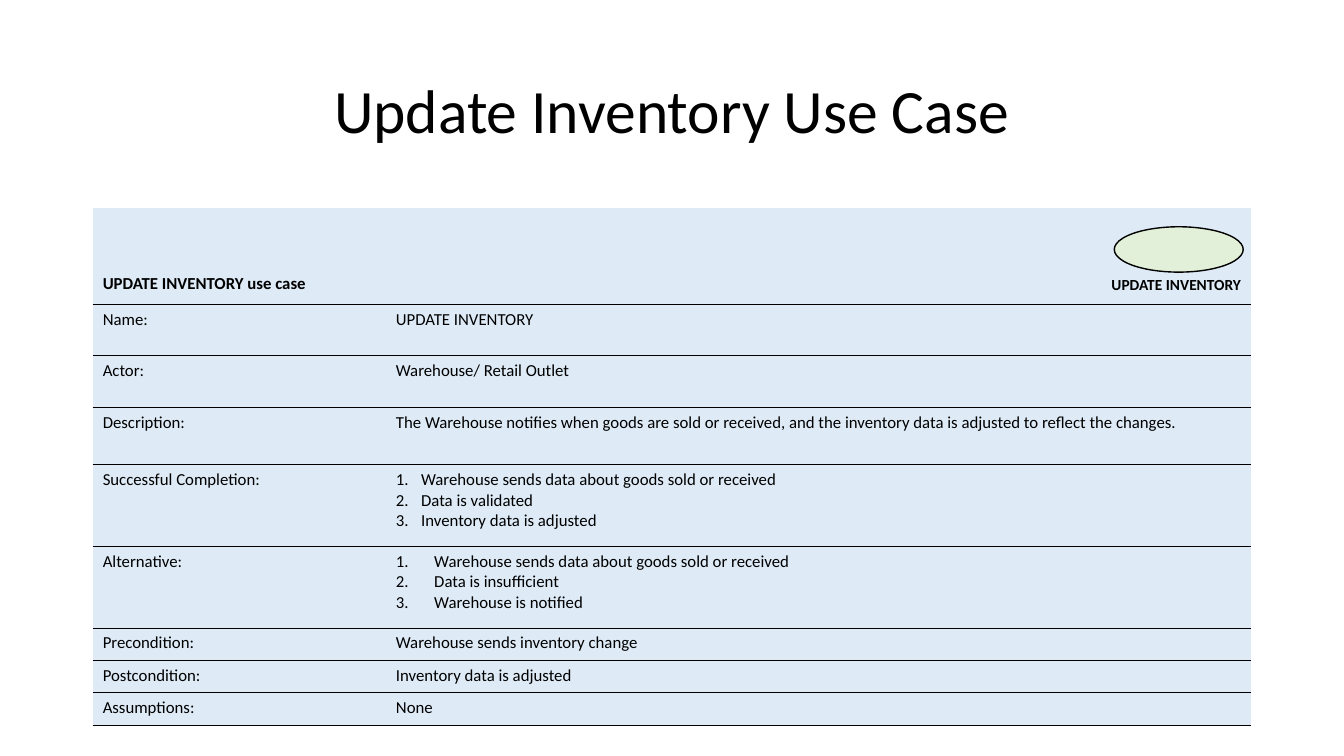
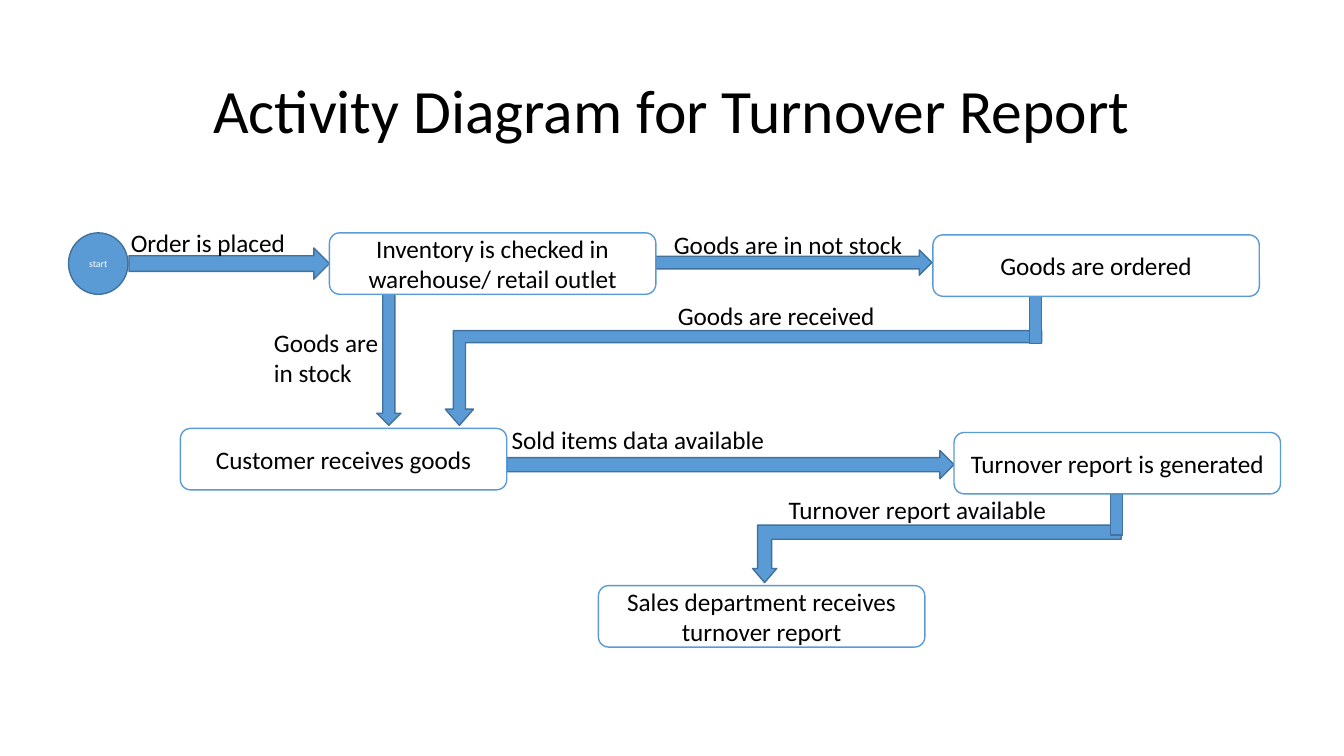
from lxml.etree import SubElement
from pptx import Presentation
from pptx.dml.color import RGBColor
from pptx.enum.shapes import MSO_SHAPE as Kind
from pptx.enum.text import MSO_ANCHOR as Anchor, PP_ALIGN as Align
from pptx.oxml import parse_xml
from pptx.oxml.ns import nsdecls, qn
from pptx.util import Inches, Pt

UNIT = Inches(0.1)  # side of one grid square
WIDE, HIGH = 133.4, 75
TITLE = (9.2, 4, 115, 14.5)
CASE = (9.2, 20.6, 115, 51.4)
FLOW = (6.8, 23.1, 120.3, 41.1)

BLACK, WHITE = "000000", "FFFFFF"
BLUE, NAVY, PALE, MINT = "5B9BD5", "41719C", "DEEBF7", "E2F0D9"
BODY = {"name": "Calibri", "size": Pt(18), "bold": False}
HEAD = BODY | {"size": Pt(44)}
CELL = BODY | {"size": Pt(12)}
TINY = BODY | {"size": Pt(7)}
NO_GRID = "{2D5ABB26-0587-4C30-8999-92F81FD0307C}"

COLS = (29.1, 85.9)
ROWS = (9.6, 5.1, 5.1, 5.7, 8.1, 8.1, 3.2, 3.2, 3.3)
FACTS = [
    ("UPDATE INVENTORY use case", "UPDATE INVENTORY"),
    ("Name:", "UPDATE INVENTORY"),
    ("Actor:", "Warehouse/ Retail Outlet"),
    ("Description:", "The Warehouse notifies when goods are sold or received, "
                     "and the inventory data is adjusted to reflect the changes."),
    ("Successful Completion:", ["Warehouse sends data about goods sold or received",
                                "Data is validated", "Inventory data is adjusted"]),
    ("Alternative:", ["Warehouse sends data about goods sold or received",
                      "Data is insufficient", "Warehouse is notified"]),
    ("Precondition:", "Warehouse sends inventory change"),
    ("Postcondition:", "Inventory data is adjusted"),
    ("Assumptions:", "None"),
]
INDENT = {"Successful Completion:": 2.5, "Alternative:": 3.8}

# Places in the flow are columns and rows counted from its top left corner.
STEP = (32.4, 6.1)
STEPS = [
    ("Inventory is checked in warehouse/ retail outlet", 25.9, 0),
    ("Goods are ordered", 85.8, 0.2),
    ("Customer receives goods", 11.1, 19.4),
    ("Turnover report is generated", 87.9, 19.8),
    ("Sales department receives turnover report", 52.6, 35),
]
ARROWS = [
    (Kind.RIGHT_ARROW, 6, 1.5, 19.9, 3.1),
    (Kind.RIGHT_ARROW, 58.3, 1.7, 27.4, 2.5),
    (Kind.DOWN_ARROW, 30.6, 6.1, 2.4, 13),
    (Kind.RIGHT_ARROW, 43.5, 21.6, 44.4, 2.8),
]
BENDS = [  # box, bar thickness, head width, head length
    ((37.4, 9.7, 59.2, 9.4), 1.2, 2.8, 1.6),
    ((67.9, 29, 36.6, 5.7), 1.4, 2.4, 1.4),
]
STUBS = [(95.4, 4.9, 1.2, 6.1), (103.4, 25.9, 1.2, 4.1)]
LABELS = [
    ("Order is placed", 5.2, -1, 21.5, 4),
    ("Goods are in not stock", 59.1, -0.8, 25.5, 4),
    ("Goods are in stock", 19.4, 8.9, 13.9, 7),
    ("Goods are received", 59.5, 6.2, 25.3, 4),
    ("Sold items data available", 43, 18.5, 42.8, 4),
    ("Turnover report available", 70.5, 25.5, 42.8, 4),
]


def grid(*vals):
    return [round(v * UNIT) for v in vals]


def shift(area, x, y, *size):
    """Turn a place inside an area into slide lengths."""
    return grid(area[0] + x, area[1] + y, *size)


def tint(part, hue):
    part.rgb = RGBColor.from_string(hue)


def style(font, form, hue=BLACK):
    for key, val in form.items():
        setattr(font, key, val)
    tint(font.color, hue)


def paint(shape, fill, line):
    shape.shadow.inherit = False
    shape.fill.solid()
    tint(shape.fill.fore_color, fill)
    tint(shape.line.color, line)
    shape.line.width = Pt(1)
    return shape


def draw(slide, kind, box, fill=BLUE, line=NAVY):
    return paint(slide.shapes.add_shape(kind, *box), fill, line)


def write(shape, text, form=BODY, hue=BLACK, align=Align.CENTER, anchor=Anchor.MIDDLE):
    frame = shape.text_frame
    frame.word_wrap = True
    frame.vertical_anchor = anchor
    para = frame.paragraphs[0]
    para.text, para.alignment = text, align
    style(para.font, form, hue)
    return para


def page(deck, title):
    slide = deck.slides.add_slide(deck.slide_layouts[5])
    head = slide.shapes.title
    head.left, head.top, head.width, head.height = grid(*TITLE)
    write(head, title, HEAD).line_spacing = 0.9
    return slide


def number(para, gap):
    props = para._p.get_or_add_pPr()
    step = grid(gap)[0]
    props.set("marL", str(step))
    props.set("indent", str(-step))
    SubElement(props, qn("a:buFont"), typeface="+mj-lt")
    SubElement(props, qn("a:buAutoNum"), type="arabicPeriod")


def rule(cell):
    """Draw a thin line under a cell."""
    cell._tc.get_or_add_tcPr().insert(0, parse_xml(
        f'<a:lnB {nsdecls("a")} w="{Pt(0.45)}"><a:solidFill>'
        f'<a:srgbClr val="{BLACK}"/></a:solidFill></a:lnB>'))


def fill_cell(cell, text, gap):
    cell.fill.solid()
    tint(cell.fill.fore_color, PALE)
    rule(cell)
    lines = [text] if isinstance(text, str) else text
    frame = cell.text_frame
    for i, line in enumerate(lines):
        para = frame.add_paragraph() if i else frame.paragraphs[0]
        para.text = line
        if len(lines) > 1:
            number(para, gap)
        style(para.font, CELL)


def case(slide, area):
    """Place the use case table and its oval."""
    table = slide.shapes.add_table(len(ROWS), len(COLS), *grid(*area)).table
    table.first_row = table.horz_banding = False
    table._tbl.tblPr.find(qn("a:tableStyleId")).text = NO_GRID
    for col, width in zip(table.columns, grid(*COLS)):
        col.width = width
    for row, height, facts in zip(table.rows, grid(*ROWS), FACTS):
        row.height = height
        for cell, text in zip(row.cells, facts):
            fill_cell(cell, text, INDENT.get(facts[0]))
    for cell, size, align in zip(table.rows[0].cells, (12, 11), (Align.LEFT, Align.RIGHT)):
        cell.vertical_anchor = Anchor.BOTTOM
        cell.margin_bottom = UNIT
        para = cell.text_frame.paragraphs[0]
        para.alignment = align
        style(para.font, {"bold": True, "size": Pt(size)})
    draw(slide, Kind.OVAL, shift(area, area[2] - 13.6, 1.9, 12.8, 4.5), MINT, BLACK)


def bend(slide, area, box, bar, head, tip):
    """Draw an arrow that runs left, then turns down."""
    x, y, w, h = box
    mid, neck = x + head / 2, y + h - tip
    left, right = mid - bar / 2, mid + bar / 2
    dots = [(x + w, y + bar), (right, y + bar), (right, neck), (x + head, neck),
            (mid, y + h), (x, neck), (left, neck), (left, y), (x + w, y)]
    dots = [shift(area, *dot) for dot in dots]
    pen = slide.shapes.build_freeform(*dots[0])
    pen.add_line_segments(dots[1:])
    paint(pen.convert_to_shape(), BLUE, NAVY)


def flow(slide, area):
    """Place the arrows, steps and labels of the diagram."""
    start = draw(slide, Kind.OVAL, shift(area, 0, 0, 5.9, 6.1))
    write(start, "start", TINY, WHITE)
    for kind, *box in ARROWS:
        draw(slide, kind, shift(area, *box))
    for parts in BENDS:
        bend(slide, area, *parts)
    for box in STUBS:
        draw(slide, Kind.RECTANGLE, shift(area, *box))
    for text, x, y in STEPS:
        step = draw(slide, Kind.ROUNDED_RECTANGLE, shift(area, x, y, *STEP), WHITE, BLUE)
        write(step, text)
    for text, *box in LABELS:
        label = slide.shapes.add_textbox(*shift(area, *box))
        write(label, text, align=Align.LEFT, anchor=Anchor.TOP)


def main():
    deck = Presentation()
    deck.slide_width, deck.slide_height = grid(WIDE, HIGH)
    case(page(deck, "Update Inventory Use Case"), CASE)
    flow(page(deck, "Activity Diagram for Turnover Report"), FLOW)
    deck.save("out.pptx")


if __name__ == "__main__":
    main()
